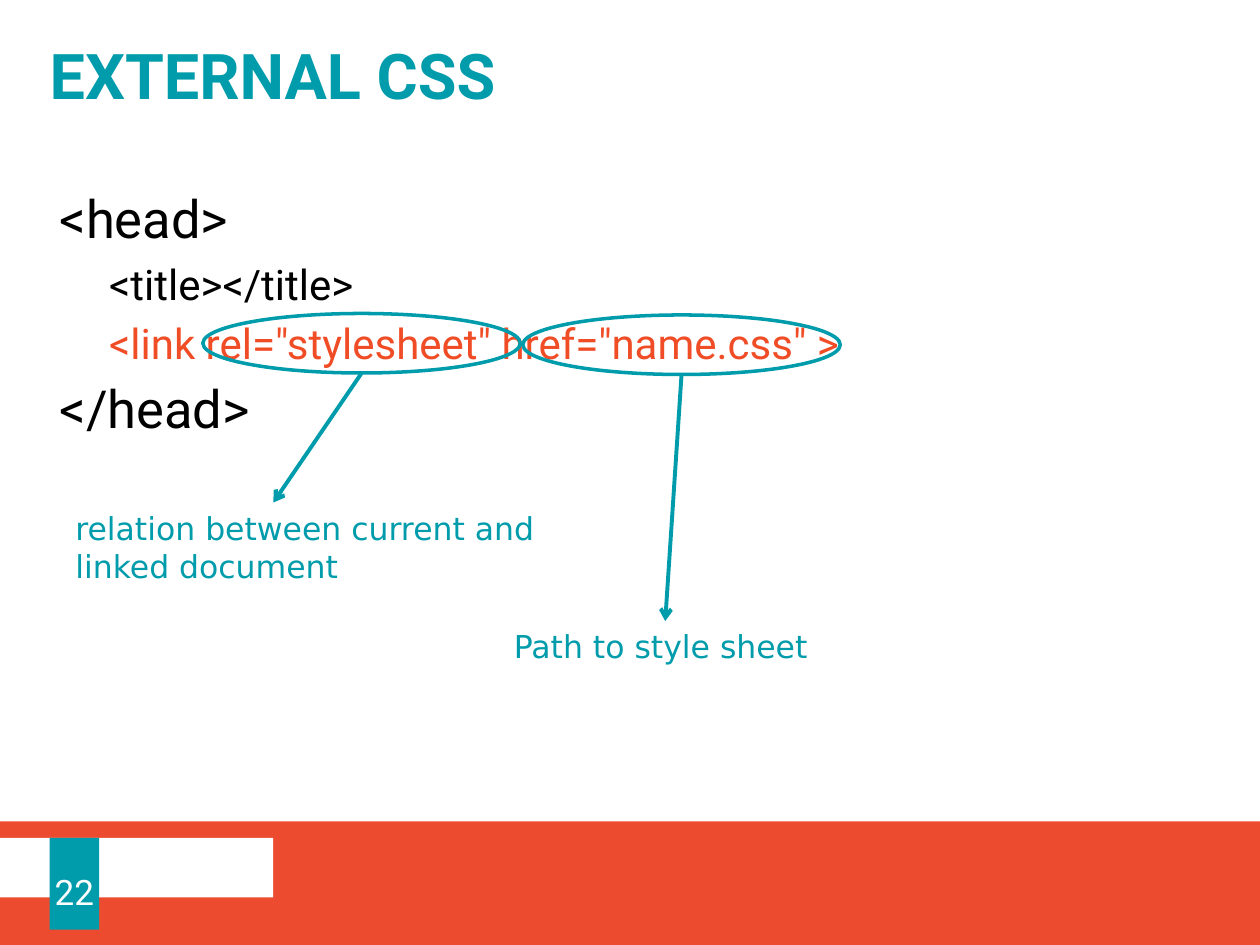
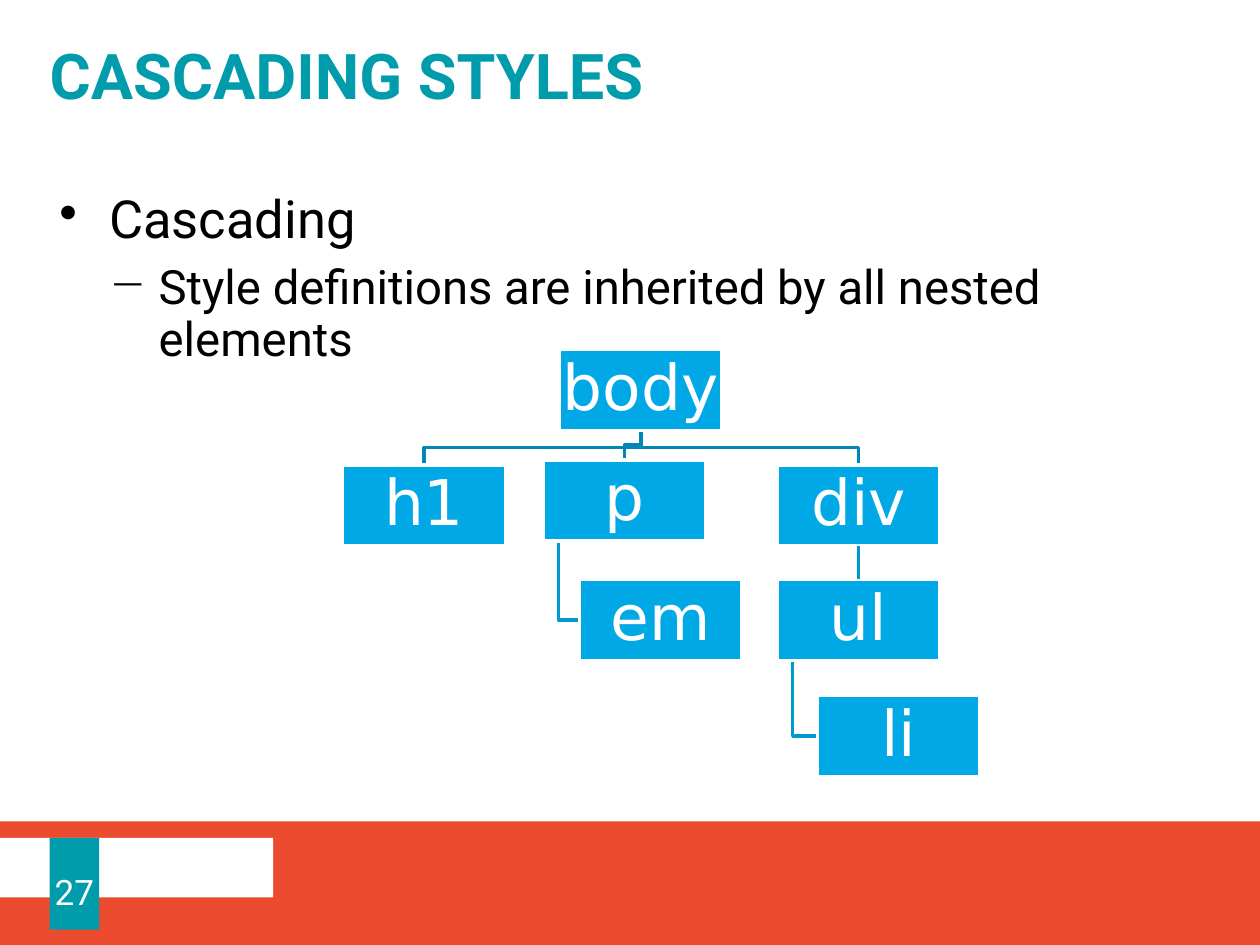
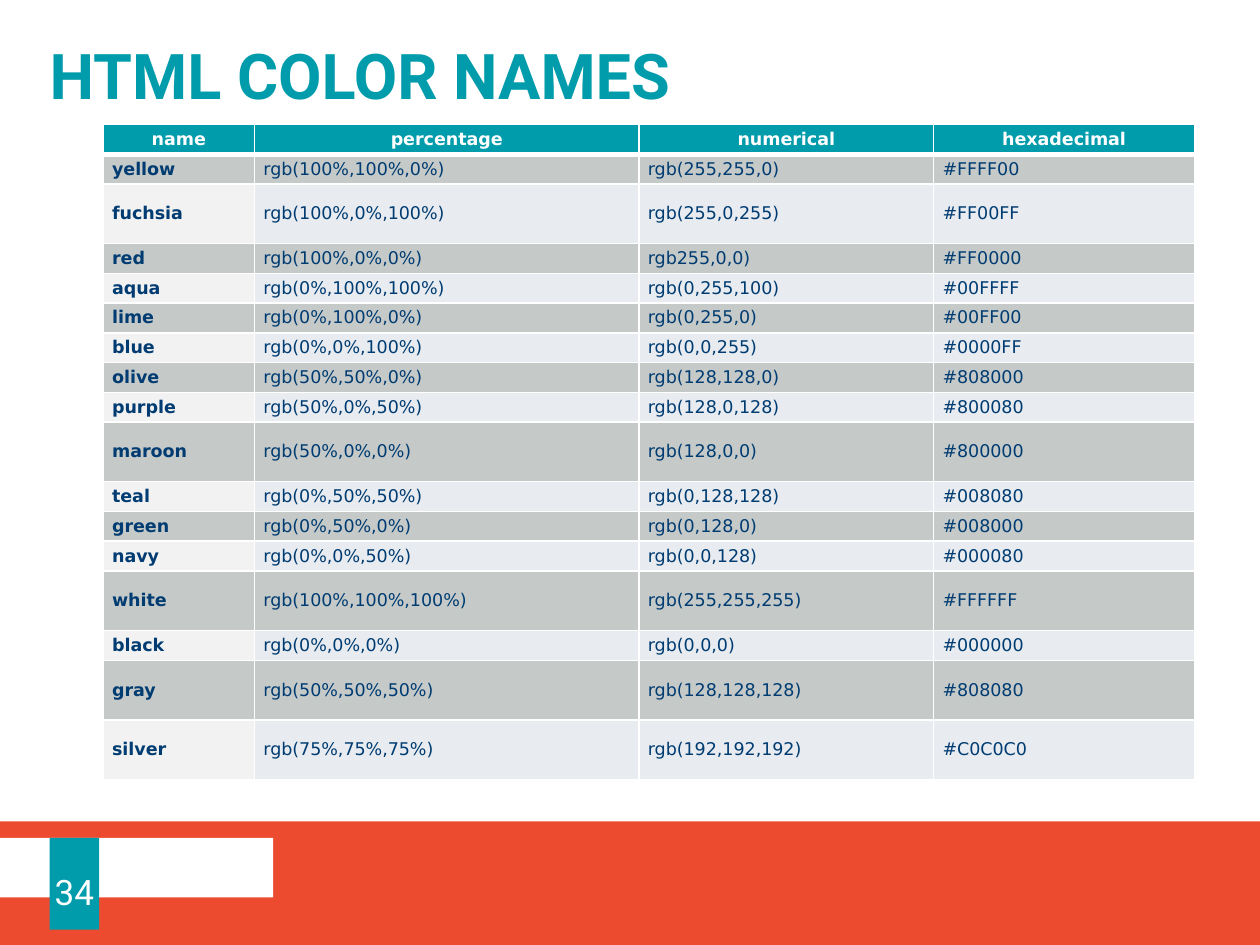
from lxml.etree import SubElement
from pptx import Presentation
from pptx.dml.color import RGBColor
from pptx.enum.shapes import MSO_CONNECTOR, MSO_SHAPE
from pptx.enum.text import MSO_ANCHOR, MSO_AUTO_SIZE, PP_ALIGN
from pptx.oxml.ns import qn
from pptx.util import Cm, Pt

TEAL, RED, WHITE, BLACK = "009CAB", "EC4B2F", "FFFFFF", "000000"
LINK, BLUE, NAVY = "F04C25", "00A9E5", "003C72"
TRUNK, TWIG = "0087B7", "0099D0"
GRAY, PALE, SIDE = "C5C9C8", "E8EBEF", "F2F2F2"
HEAD, SANS = "Roboto", "DejaVu Sans"

CODE = [
    ("<head>", 30, BLACK, 0, 0, None),
    ("<title></title>", 24, BLACK, 1, 0, None),
    ('<link rel="stylesheet" href="name.css" >', 24, LINK, 1, 0, None),
    ("</head>", 30, BLACK, 0, 0, None),
]
NOTES = [
    ("relation between current and linked document",
     (1.27, 10.13, 10.21, 1.8), (4.09, 6.32), (5.51, 10.13), False),
    ("Path to style sheet",
     (10.11, 12.52, 6.6, 1.02), (10.54, 6.35), (13.41, 12.52), True),
]
OVAL = (6.4, 1.2)

POINTS = [
    ("Cascading", 30, BLACK, 1, -1, "•"),
    ("Style definitions are inherited by all nested elements",
     27, BLACK, 2, -1, "−"),
]
BOX = (3.28, 1.64)
NODES = {
    "body": (11.28, 7.04), "h1": (6.91, 9.37), "p": (10.95, 9.27),
    "div": (15.67, 9.37), "em": (11.68, 11.68), "ul": (15.67, 11.68),
    "li": (16.48, 14.02),
}
FORKS = [("body", "h1"), ("body", "p"), ("body", "div")]
HOOKS = [("p", "em"), ("ul", "li")]
DROPS = [("div", "ul")]

COLS = [("name", 3.05), ("percentage", 7.75),
        ("numerical", 5.94), ("hexadecimal", 5.26)]
ROWS = [
    ("yellow", "rgb(100%,100%,0%)", "rgb(255,255,0)", "#FFFF00"),
    ("fuchsia", "rgb(100%,0%,100%)", "rgb(255,0,255)", "#FF00FF"),
    ("red", "rgb(100%,0%,0%)", "rgb255,0,0)", "#FF0000"),
    ("aqua", "rgb(0%,100%,100%)", "rgb(0,255,100)", "#00FFFF"),
    ("lime", "rgb(0%,100%,0%)", "rgb(0,255,0)", "#00FF00"),
    ("blue", "rgb(0%,0%,100%)", "rgb(0,0,255)", "#0000FF"),
    ("olive", "rgb(50%,50%,0%)", "rgb(128,128,0)", "#808000"),
    ("purple", "rgb(50%,0%,50%)", "rgb(128,0,128)", "#800080"),
    ("maroon", "rgb(50%,0%,0%)", "rgb(128,0,0)", "#800000"),
    ("teal", "rgb(0%,50%,50%)", "rgb(0,128,128)", "#008080"),
    ("green", "rgb(0%,50%,0%)", "rgb(0,128,0)", "#008000"),
    ("navy", "rgb(0%,0%,50%)", "rgb(0,0,128)", "#000080"),
    ("white", "rgb(100%,100%,100%)", "rgb(255,255,255)", "#FFFFFF"),
    ("black", "rgb(0%,0%,0%)", "rgb(0,0,0)", "#000000"),
    ("gray", "rgb(50%,50%,50%)", "rgb(128,128,128)", "#808080"),
    ("silver", "rgb(75%,75%,75%)", "rgb(192,192,192)", "#C0C0C0"),
]
TALL = {"fuchsia", "maroon", "white", "gray", "silver"}


def color(code):
    return RGBColor.from_string(code)


def style(para, size, code, face, bold=False):
    font = para.font
    font.size, font.name, font.bold = Pt(size), face, bold
    font.color.rgb = color(code)


def setup(frame, left=0, top=0, right=0, base=0, anchor=MSO_ANCHOR.TOP,
          wrap=True):
    frame.auto_size = MSO_AUTO_SIZE.NONE
    frame.word_wrap, frame.vertical_anchor = wrap, anchor
    frame.margin_left, frame.margin_top = Cm(left), Cm(top)
    frame.margin_right, frame.margin_bottom = Cm(right), Cm(base)


def stroke(shape, code, width):
    shape.line.color.rgb = color(code)
    shape.line.width = Pt(width)


def block(slide, area, fill=None, kind=MSO_SHAPE.RECTANGLE):
    shape = slide.shapes.add_shape(kind, *map(Cm, area))
    shape.shadow.inherit = False
    if fill:
        shape.fill.solid()
        shape.fill.fore_color.rgb = color(fill)
    else:
        shape.fill.background()
    shape.line.fill.background()
    return shape


def label(shape, text, size, face, **space):
    frame = shape.text_frame
    setup(frame, anchor=MSO_ANCHOR.MIDDLE, wrap=False, **space)
    para = frame.paragraphs[0]
    para.text, para.alignment = text, PP_ALIGN.CENTER
    style(para, size, WHITE, face)
    return para


def start(deck, text, number):
    slide = deck.slides.add_slide(deck.slide_layouts[5])
    block(slide, (0, 16.56, 25.4, 2.49), RED)
    block(slide, (0, 16.89, 5.51, 1.2), WHITE)
    badge = block(slide, (1, 16.89, 1, 1.85), TEAL)
    label(badge, str(number), 20, HEAD, top=0.3)
    title = slide.shapes.title
    title.left, title.top, title.width, title.height = map(
        Cm, (0, 0, 25.4, 3.18))
    setup(title.text_frame, 1, 0.5, 1, 0.4, MSO_ANCHOR.MIDDLE)
    para = title.text_frame.paragraphs[0]
    para.text, para.alignment = text, PP_ALIGN.LEFT
    para.line_spacing = 0.8
    style(para, 36, TEAL, HEAD, True)
    return slide


def prose(slide, lines):
    box = slide.shapes.add_textbox(*map(Cm, (0, 3.2, 25.4, 12.3)))
    frame = box.text_frame
    setup(frame, 1.2, 0.7, 1.2)
    for i, (text, size, code, left, hang, mark) in enumerate(lines):
        para = frame.add_paragraph() if i else frame.paragraphs[0]
        para.text = text
        props = para._p.get_or_add_pPr()
        props.set("marL", str(Cm(left)))
        props.set("indent", str(Cm(hang)))
        if mark:
            SubElement(props, qn("a:buChar")).set("char", mark)
        para.line_spacing = 0.9
        para.space_before, para.space_after = Pt(4 if i else 0), Pt(4)
        style(para, size, code, HEAD)


def link(slide, begin, end, code, width):
    line = slide.shapes.add_connector(
        MSO_CONNECTOR.STRAIGHT, *map(Cm, begin + end))
    stroke(line, code, width)
    SubElement(line._element.spPr, qn("a:effectLst"))
    return line


def trace(slide, dots, code):
    dots = [(Cm(x), Cm(y)) for x, y in dots]
    maker = slide.shapes.build_freeform(*dots[0])
    maker.add_line_segments(dots[1:], close=False)
    shape = maker.convert_to_shape()
    shape.shadow.inherit = False
    shape.fill.background()
    stroke(shape, code, 2)


def sheet(deck):
    slide = start(deck, "EXTERNAL CSS", 22)
    prose(slide, CODE)
    for text, area, (x, y), tip, joined in NOTES:
        note = slide.shapes.add_textbox(*map(Cm, area))
        setup(note.text_frame, 0.25, 0.13, 0.25, 0.13)
        para = note.text_frame.paragraphs[0]
        para.text = text
        style(para, 18, TEAL, SANS)
        oval = block(slide, (x - OVAL[0] / 2 + 3.2, y, *OVAL),
                     kind=MSO_SHAPE.OVAL)
        stroke(oval, TEAL, 2)
        arrow = link(slide, (x + OVAL[0] / 2, y + OVAL[1]), tip, TEAL, 2.25)
        if joined:
            arrow.end_connect(note, 0)
        tail = SubElement(arrow.line._get_or_add_ln(), qn("a:tailEnd"))
        tail.set("type", "arrow")


def tree(deck):
    slide = start(deck, "CASCADING STYLES", 27)
    prose(slide, POINTS)
    wide, high = BOX
    for upper, lower in FORKS:
        (x1, y1), (x2, y2) = NODES[upper], NODES[lower]
        x1, x2, y1 = x1 + wide / 2, x2 + wide / 2, y1 + high
        mid = (y1 + y2) / 2
        trace(slide, [(x1, y1), (x1, mid), (x2, mid), (x2, y2)], TRUNK)
    for upper, lower in HOOKS:
        (x1, y1), (x2, y2) = NODES[upper], NODES[lower]
        x1, y2 = x1 + 0.31, y2 + high / 2
        trace(slide, [(x1, y1 + high), (x1, y2), (x2, y2)], TWIG)
    boxes = {}
    for name, spot in NODES.items():
        boxes[name] = block(slide, spot + BOX, BLUE)
        stroke(boxes[name], WHITE, 2)
        label(boxes[name], name, 36, SANS).line_spacing = 0.9
    for upper, lower in DROPS:
        line = link(slide, (0, 0), (1, 1), TWIG, 2)
        line.begin_connect(boxes[upper], 2)
        line.end_connect(boxes[lower], 0)


def edge(cell, side, width):
    line = SubElement(cell._tc.get_or_add_tcPr(), qn("a:ln" + side))
    line.set("w", str(Pt(width)))
    fill = SubElement(line, qn("a:solidFill"))
    SubElement(fill, qn("a:srgbClr")).set("val", WHITE)


def chart(deck):
    slide = start(deck, "HTML COLOR NAMES", 34)
    data = [tuple(name for name, _ in COLS)] + ROWS
    highs = [1.2 if row[0] in TALL else 0.6 for row in data]
    wides = [wide for _, wide in COLS]
    area = (2.08, 2.51, sum(wides), sum(highs))
    table = slide.shapes.add_table(
        len(data), len(COLS), *map(Cm, area)).table
    for col, wide in zip(table.columns, wides):
        col.width = Cm(wide)
    for r, row in enumerate(data):
        table.rows[r].height = Cm(highs[r])
        for c, text in enumerate(row):
            cell = table.cell(r, c)
            for side in "LRTB":
                thick = (r, side) in ((0, "B"), (1, "T"))
                edge(cell, side, 3 if thick else 1)
            if r == 0:
                fill = TEAL
            elif r % 2:
                fill = GRAY
            else:
                fill = PALE if c else SIDE
            cell.fill.solid()
            cell.fill.fore_color.rgb = color(fill)
            cell.vertical_anchor = MSO_ANCHOR.MIDDLE
            cell.margin_left = cell.margin_right = Cm(0.18)
            cell.margin_top = cell.margin_bottom = 0
            para = cell.text_frame.paragraphs[0]
            para.text = text
            para.alignment = PP_ALIGN.LEFT if r else PP_ALIGN.CENTER
            style(para, 10, NAVY if r else WHITE, SANS, r == 0 or c == 0)


def main():
    deck = Presentation()
    deck.slide_width, deck.slide_height = Cm(25.4), Cm(19.05)
    sheet(deck)
    tree(deck)
    chart(deck)
    deck.save("out.pptx")


if __name__ == "__main__":
    main()
